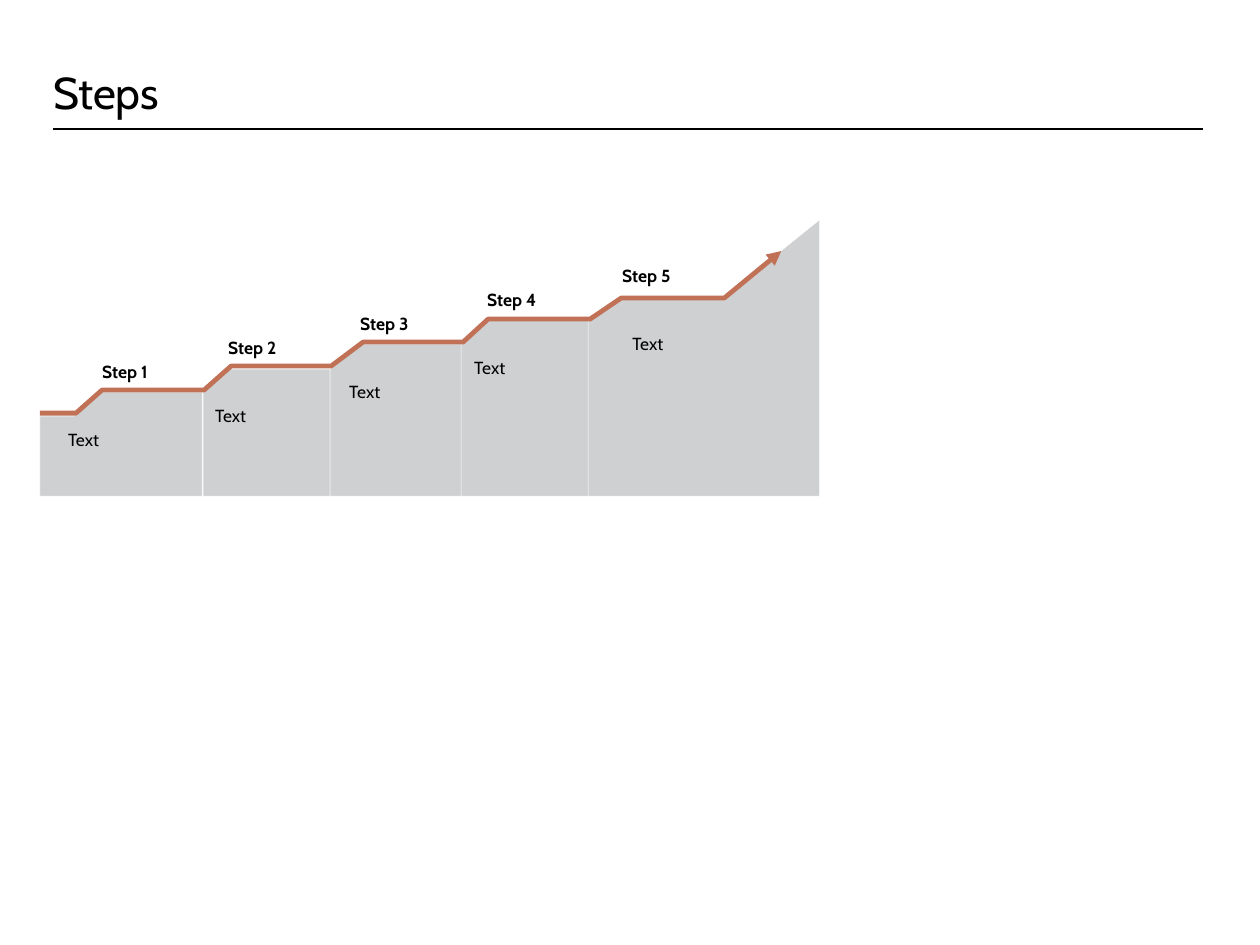
import pptx
import pptx.dml.color
import pptx.enum.shapes
import pptx.enum.text
import pptx.oxml
import pptx.oxml.ns
import pptx.util

EMU_PER_PX = 914400 / 114.5
COLORS = {"ink": "000000", "area": "CED0D1", "gap": "FFFFFF", "path": "C07156"}
FONT = "Cabin"


def px(length):
    return pptx.util.Emu(round(length * EMU_PER_PX))


def color(name):
    return pptx.dml.color.RGBColor.from_string(COLORS[name])


def element(tag, attributes=""):
    return pptx.oxml.parse_xml(f'<a:{tag} {pptx.oxml.ns.nsdecls("a")} {attributes}/>')


class StepsSlide:
    def __init__(self, slide):
        self.slide = slide

    def style_line(self, line, name, width):
        line.color.rgb = color(name)
        line.width = pptx.util.Pt(width)

    def set_text(self, shape, text, size, bold=False, **paragraph_format):
        frame = shape.text_frame
        frame_format = {"margin_left": 0, "margin_top": 0, "margin_right": 0,
                        "margin_bottom": 0, "word_wrap": True,
                        "auto_size": pptx.enum.text.MSO_AUTO_SIZE.NONE}
        for key, value in frame_format.items():
            setattr(frame, key, value)
        paragraph = frame.paragraphs[0]
        paragraph.text = text
        paragraph_format["alignment"] = pptx.enum.text.PP_ALIGN.LEFT
        for key, value in paragraph_format.items():
            setattr(paragraph, key, value)
        font = paragraph.runs[0].font
        font_format = {"name": FONT, "size": pptx.util.Pt(size), "bold": bold}
        for key, value in font_format.items():
            setattr(font, key, value)
        font.color.rgb = color("ink")

    def title(self, text, left, top, width, height):
        heading = self.slide.shapes.title
        box = {"left": left, "top": top, "width": width, "height": height}
        for key, value in box.items():
            setattr(heading, key, px(value))
        self.set_text(heading, text, 28, line_spacing=pptx.util.Pt(32))
        heading.text_frame.vertical_anchor = pptx.enum.text.MSO_ANCHOR.BOTTOM

    def rule(self, left, right, y):
        rule = self.slide.shapes.add_connector(
            pptx.enum.shapes.MSO_CONNECTOR.STRAIGHT, px(left), px(y), px(right), px(y))
        self.style_line(rule.line, "ink", 0.75)
        rule._element.spPr.append(element("effectLst"))

    def outline(self, points, close):
        builder = self.slide.shapes.build_freeform(*points[0], scale=EMU_PER_PX)
        builder.add_line_segments(points[1:], close=close)
        shape = builder.convert_to_shape()
        shape.shadow.inherit = False
        return shape

    def area(self, points):
        area = self.outline(points, True)
        area.fill.solid()
        area.fill.fore_color.rgb = color("area")
        self.style_line(area.line, "gap", 0.25)

    def arrow(self, points):
        arrow = self.outline(points, False)
        arrow.fill.background()
        self.style_line(arrow.line, "path", 3)
        line = arrow._element.spPr.find(pptx.oxml.ns.qn("a:ln"))
        line.append(element("tailEnd", 'type="triangle"'))

    def label(self, text, left, top, width, bold=False):
        box = self.slide.shapes.add_textbox(px(left), px(top), px(width), px(49))
        self.set_text(box, text, 11, bold)


def main():
    deck = pptx.Presentation()
    deck.slide_width = pptx.util.Inches(11)
    deck.slide_height = pptx.util.Inches(8.25)
    steps = StepsSlide(deck.slides.add_slide(deck.slide_layouts[5]))

    # Heading
    steps.rule(53, 1203, 129)
    steps.title("Steps", 53, 0, 1150, 118)

    # Grey areas under each step, all standing on one base
    base = 496
    ridges = [
        [(40, 416), (74, 416), (102, 392), (202, 392)],
        [(203, 392), (229, 369), (330, 369)],
        [(330, 369), (362, 344), (461, 344)],
        [(461, 344), (487, 320), (588, 320)],
        [(588, 320), (618, 299), (721, 299), (819, 220)],
    ]
    for ridge in ridges:
        steps.area(ridge + [(ridge[-1][0], base), (ridge[0][0], base)])

    # Rising arrow
    steps.arrow([(40, 413), (76, 413), (102, 390), (204, 390), (231, 366),
                 (331, 366), (363, 342), (463, 342), (488, 319), (590, 319),
                 (621, 298), (724, 298), (781, 251)])

    # Step texts and names, each one rise higher than the last
    rise = 24
    text_lefts = [68, 215, 349, 474, 632]
    name_lefts = [102, 228, 360, 487, 622]
    for index, left in enumerate(text_lefts):
        steps.label("Text", left, 429 - index * rise, 106)
    for index, left in enumerate(name_lefts):
        steps.label(f"Step {index + 1}", left, 361 - index * rise, 126, bold=True)

    deck.save("out.pptx")


if __name__ == "__main__":
    main()
